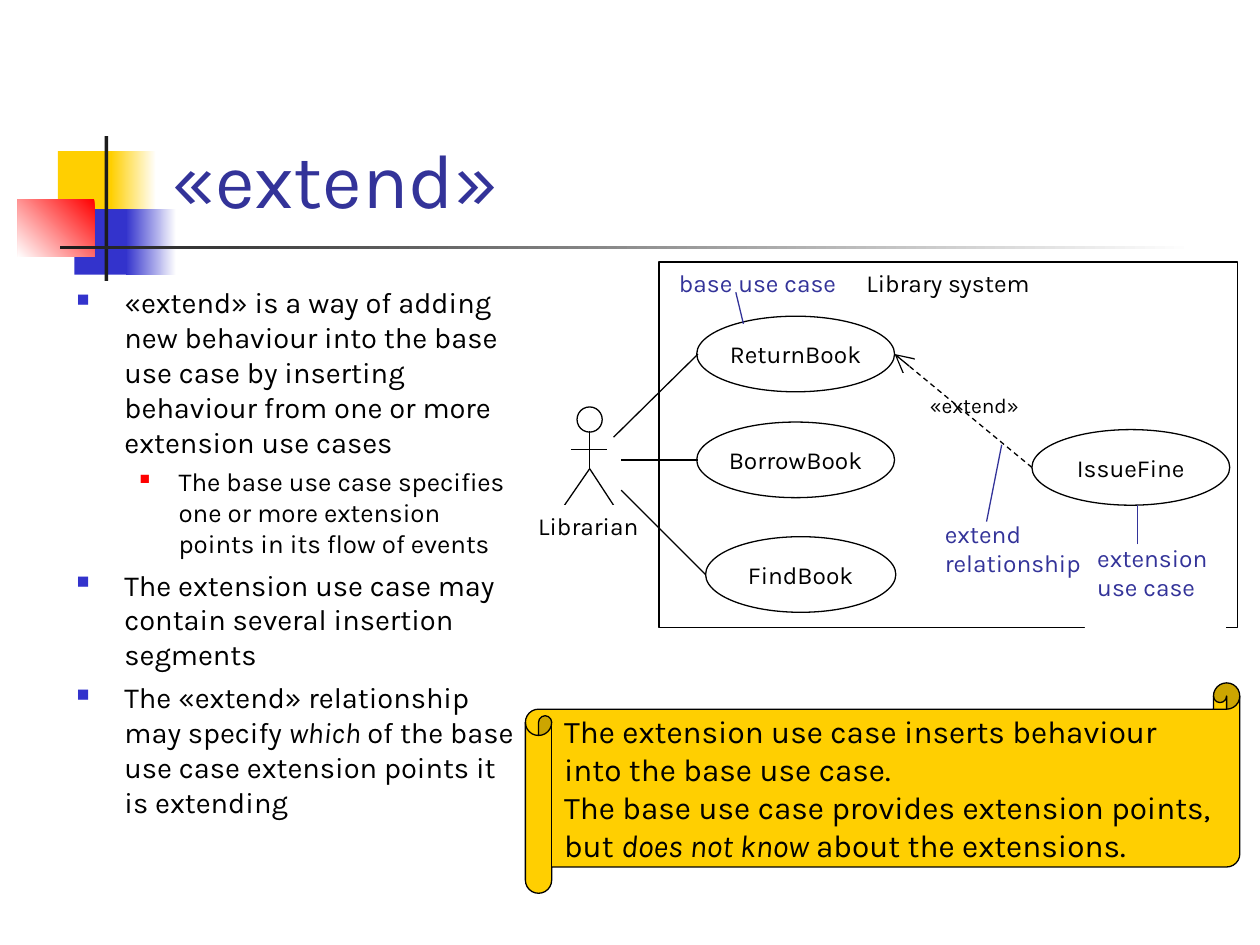
"""Build a slide explaining the «extend» relationship between use cases."""
from pptx import Presentation
from pptx.dml.color import RGBColor
from pptx.enum import dml, shapes, text
from pptx.oxml import parse_xml
from pptx.oxml.ns import nsdecls
from pptx.util import Inches, Pt

FONT = "Karla"
BLACK = RGBColor(0x00, 0x00, 0x00)
WHITE = RGBColor(0xFF, 0xFF, 0xFF)
YELLOW = RGBColor(0xFF, 0xCF, 0x01)
BLUE = RGBColor(0x33, 0x33, 0xCC)
RED = RGBColor(0xFF, 0x00, 0x00)
CHARCOAL = RGBColor(0x1C, 0x1C, 0x1C)
NAVY = RGBColor(0x33, 0x33, 0x99)

RECT = shapes.MSO_SHAPE.RECTANGLE
OVAL = shapes.MSO_SHAPE.OVAL
SCROLL = shapes.MSO_SHAPE.HORIZONTAL_SCROLL
CENTER = text.PP_ALIGN.CENTER
LEFT = text.PP_ALIGN.LEFT
TOP = text.MSO_ANCHOR.TOP
MIDDLE = text.MSO_ANCHOR.MIDDLE
BOTTOM = text.MSO_ANCHOR.BOTTOM

DECORATION = [
    ((0.46, 1.2, 0.48, 0.52), YELLOW),
    ((0.88, 1.2, 0.36, 0.52), (WHITE, YELLOW, 180)),
    ((0.59, 1.66, 0.46, 0.52), BLUE),
    ((1, 1.66, 0.4, 0.52), (WHITE, BLUE, 180)),
    ((0.14, 1.58, 0.61, 0.46), (RED, WHITE, 225)),
    ((0.83, 1.08, 0.03, 1.15), CHARCOAL),
    ((0.48, 1.95, 9, 0.03), (WHITE, CHARCOAL, 180)),
]
TITLE = "«extend»"
BULLETS = [
    (0, ["«extend» is a way of adding new behaviour into the base use case "
         "by inserting behaviour from one or more extension use cases"]),
    (1, ["The base use case specifies one or more extension points "
         "in its flow of events"]),
    (0, ["The extension use case may contain several insertion segments"]),
    (0, ["The «extend» relationship may specify ", ("which",),
         " of the base use case extension points it is extending"]),
]
LEVELS = [
    dict(size=16.6, indent=0.38, hang=0.38, before=4.5, color=BLUE, scale=60),
    dict(size=14.8, indent=0.81, hang=0.31, before=4, color=RED, scale=55),
]
USE_CASES = [
    ("IssueFine", 8.19, 3.41, 1.57),
    ("BorrowBook", 5.53, 3.35, 1.57),
    ("FindBook", 5.6, 4.26, 1.51),
    ("ReturnBook", 5.53, 2.51, 1.57),
]
ACTOR_LIMBS = [
    (4.68, 3.42, 4.68, 3.72),
    (4.68, 3.72, 4.87, 4.01),
    (4.68, 3.72, 4.48, 4.01),
    (4.53, 3.57, 4.82, 3.57),
]
ASSOCIATIONS = [
    (4.93, 3.65, 5.54, 3.65),
    (4.87, 3.47, 5.54, 2.81),
    (4.93, 3.89, 5.6, 4.56),
]
CALLOUTS = [
    ("base use case", (5.29, 2.08, 1.51, 0.34), None, (5.84, 2.32, 5.9, 2.57)),
    ("extend relationship", (7.4, 4.07, 1.35, 0.57), WHITE, (7.83, 4.14, 7.95, 3.53)),
    ("extension use case", (8.61, 4.26, 1.12, 0.8), WHITE, (9.03, 4.32, 9.03, 4.01)),
]
SUMMARY = [
    "The extension use case inserts behaviour into the base use case. ", "\n",
    "The base use case provides extension points, but ", ("does not know",),
    " about the extensions.",
]


def add_runs(p, parts, size, color=BLACK):
    """Add runs to a paragraph; a tuple holds italic text."""
    for part in parts:
        if part == "\n":
            p.add_line_break()
            continue
        italic = isinstance(part, tuple)
        r = p.add_run()
        r.text = part[0] if italic else part
        r.font.name, r.font.size = FONT, Pt(size)
        r.font.color.rgb = color
        if italic:
            r.font.italic = True


def add_text(sp, parts, size, color=BLACK, align=LEFT, anchor=TOP, wrap=True):
    """Write one paragraph into a shape."""
    tf = sp.text_frame
    tf.word_wrap, tf.vertical_anchor = wrap, anchor
    p = tf.paragraphs[0]
    p.alignment = align
    add_runs(p, parts, size, color)


def add_box(parent, kind, box, fill, outlined=False):
    """Add a preset shape with a plain, gradient or empty fill."""
    sp = parent.shapes.add_shape(kind, *map(Inches, box))
    sp.shadow.inherit = False
    if fill is None:
        sp.fill.background()
    elif isinstance(fill, RGBColor):
        sp.fill.solid()
        sp.fill.fore_color.rgb = fill
    else:
        sp.fill.gradient()
        sp.fill.gradient_angle = fill[2]
        for stop, color in zip(sp.fill.gradient_stops, fill):
            stop.color.rgb = color
    if outlined:
        sp.line.color.rgb, sp.line.width = BLACK, Pt(0.75)
    else:
        sp.line.fill.background()
    return sp


def add_line(parent, ends, color=BLACK):
    """Add a thin straight line."""
    ln = parent.shapes.add_connector(shapes.MSO_CONNECTOR.STRAIGHT, *map(Inches, ends))
    ln.line.color.rgb, ln.line.width = color, Pt(0.75)
    ln._element.spPr.append(parse_xml(f"<a:effectLst {nsdecls('a')}/>"))
    return ln


def add_bullets(s):
    """Add the two-level bulleted list."""
    tf = s.shapes.add_textbox(*map(Inches, (0.51, 2.21, 3.7, 4.5))).text_frame
    tf.word_wrap = True
    for i, (level, parts) in enumerate(BULLETS):
        style = LEVELS[level]
        p = tf.add_paragraph() if i else tf.paragraphs[0]
        p.level, p.space_before = level, Pt(style["before"])
        pPr = p._p.get_or_add_pPr()
        pPr.set("marL", str(Inches(style["indent"])))
        pPr.set("indent", str(-Inches(style["hang"])))
        for xml in (
            f"<a:buClr {nsdecls('a')}><a:srgbClr val='{style['color']}'/></a:buClr>",
            f"<a:buSzPct {nsdecls('a')} val='{style['scale'] * 1000}'/>",
            f"<a:buChar {nsdecls('a')} char='■'/>",
        ):
            pPr.append(parse_xml(xml))
        add_runs(p, parts, style["size"])


def add_diagram(s):
    """Add the use case diagram with its actor and callouts."""
    frame = add_box(s, RECT, (5.23, 2.08, 4.59, 2.9), WHITE, True)
    add_text(frame, ["Library system"], 14, align=CENTER, wrap=False)
    for name, x, y, w in USE_CASES:
        sp = add_box(s, OVAL, (x, y, w, 0.6), WHITE, True)
        add_text(sp, [name], 14, align=CENTER, anchor=MIDDLE, wrap=False)

    actor = s.shapes.add_group_shape()
    add_box(actor, OVAL, (4.58, 3.23, 0.2, 0.2), WHITE, True)
    for ends in ACTOR_LIMBS:
        add_line(actor, ends)
    sp = add_box(actor, RECT, (4.16, 4.01, 1.02, 0.34), WHITE)
    add_text(sp, ["Librarian"], 14, align=CENTER, wrap=False)

    for ends in ASSOCIATIONS:
        add_line(s, ends)
    sp = add_box(s, RECT, (7.28, 3.07, 0.91, 0.3), WHITE)
    add_text(sp, ["«extend»"], 12, wrap=False)
    arrow = add_line(s, (8.19, 3.71, 7.1, 2.81))
    arrow.line.dash_style = dml.MSO_LINE.DASH
    arrow.line._get_or_add_ln().append(
        parse_xml(f"<a:tailEnd {nsdecls('a')} type='arrow' w='lg' len='lg'/>"))

    for label, box, fill, leader in CALLOUTS:
        add_text(add_box(s, RECT, box, fill), [label], 14, NAVY)
        add_line(s, leader, NAVY)


def main():
    """Build and save the slide."""
    prs = Presentation()
    prs.slide_width, prs.slide_height = Inches(10), Inches(7.5)
    s = prs.slides.add_slide(prs.slide_layouts[6])
    for box, fill in DECORATION:
        add_box(s, RECT, box, fill)
    title = s.shapes.add_textbox(*map(Inches, (1.26, 0.23, 8.52, 1.6)))
    add_text(title, [TITLE], 44, NAVY, anchor=BOTTOM)
    add_bullets(s)
    add_diagram(s)
    scroll = add_box(s, SCROLL, (4.17, 5.42, 5.67, 1.67), YELLOW, True)
    add_text(scroll, SUMMARY, 18, anchor=MIDDLE)
    prs.save("out.pptx")


if __name__ == "__main__":
    main()
